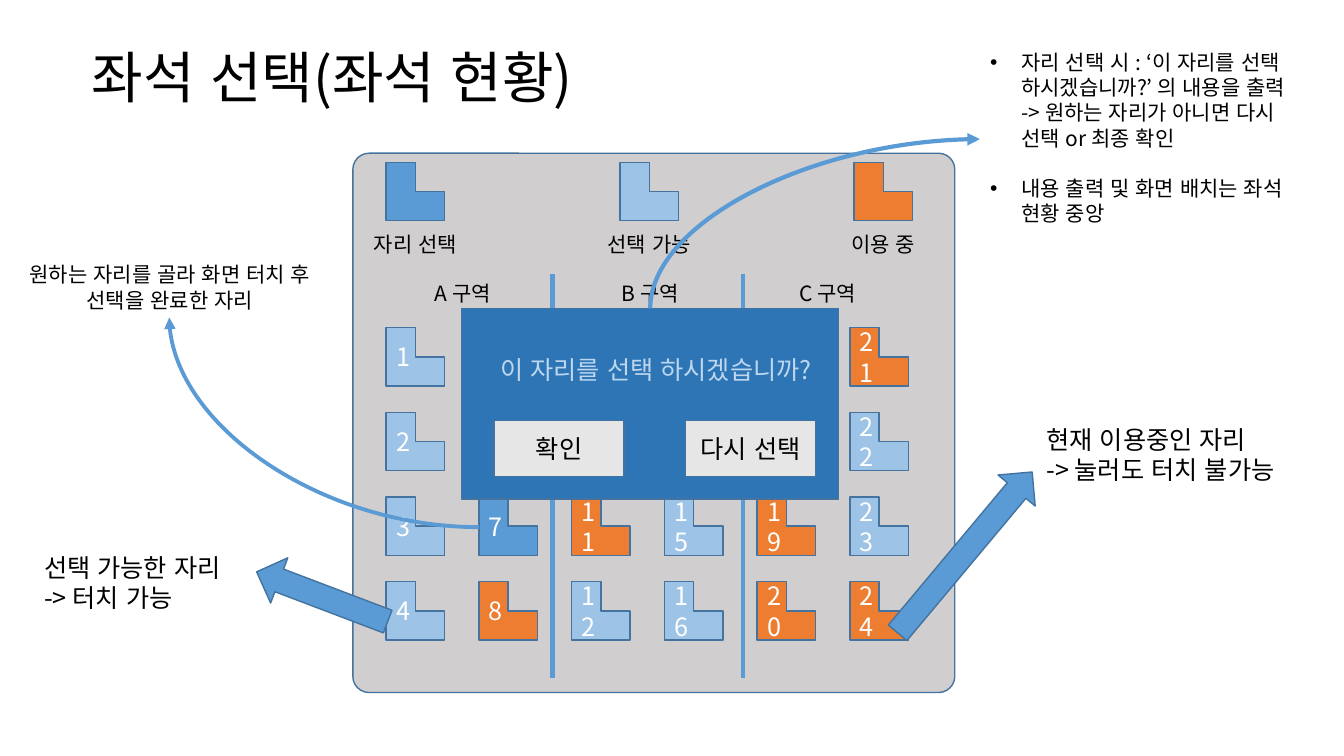
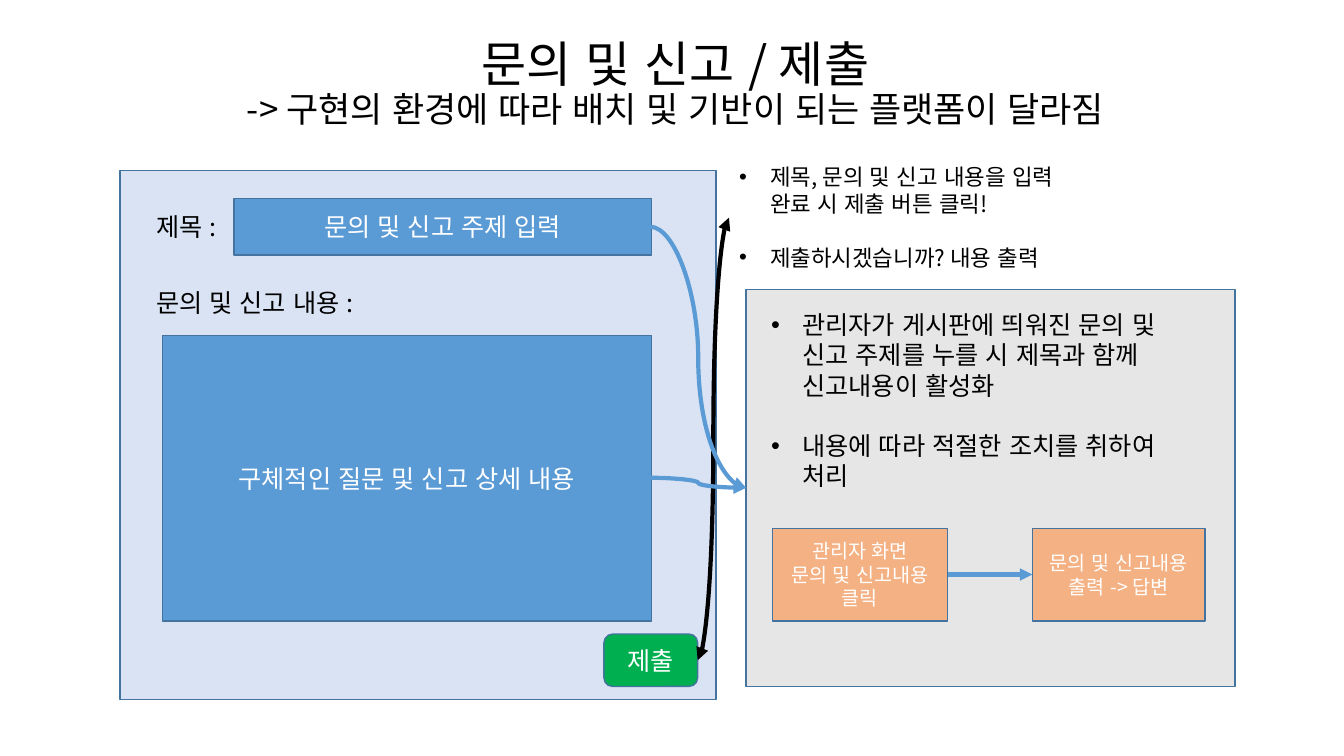
"""Build two screen-design slides: seat selection and report submission."""
from lxml.etree import SubElement
from pptx import Presentation
from pptx.dml.color import RGBColor
from pptx.enum.shapes import MSO_CONNECTOR, MSO_SHAPE
from pptx.enum.text import MSO_ANCHOR, MSO_AUTO_SIZE, PP_ALIGN
from pptx.oxml.ns import qn
from pptx.util import Inches, Pt

FONT = "Noto Sans CJK KR"
BLACK = RGBColor(0x00, 0x00, 0x00)
WHITE = RGBColor(0xFF, 0xFF, 0xFF)
BLUE = RGBColor(0x5B, 0x9B, 0xD5)
LIGHT_BLUE = RGBColor(0x9D, 0xC3, 0xE6)
DARK_BLUE = RGBColor(0x2E, 0x75, 0xB6)
PALE_BLUE = RGBColor(0xBD, 0xD7, 0xEE)
OUTLINE = RGBColor(0x43, 0x73, 0x9E)
ORANGE = RGBColor(0xED, 0x7D, 0x31)
PEACH = RGBColor(0xF4, 0xB1, 0x83)
GREEN = RGBColor(0x00, 0xB0, 0x50)
GREY = RGBColor(0xD0, 0xCE, 0xCE)
LIGHT_GREY = RGBColor(0xE7, 0xE6, 0xE6)
FORM_BLUE = RGBColor(0xDA, 0xE3, 0xF3)

LEFT, CENTER = PP_ALIGN.LEFT, PP_ALIGN.CENTER
TOP, MIDDLE = MSO_ANCHOR.TOP, MSO_ANCHOR.MIDDLE
RECT, ROUND = MSO_SHAPE.RECTANGLE, MSO_SHAPE.ROUNDED_RECTANGLE
SEAT, ARROW = MSO_SHAPE.from_xml("corner"), MSO_SHAPE.LEFT_ARROW

SEAT_TITLE = "좌석 선택(좌석 현황)"
LEGEND = [("자리 선택", BLUE), ("선택 가능", LIGHT_BLUE), ("이용 중", ORANGE)]
ZONES = [("A 구역", 4.07), ("B 구역", 5.93), ("C 구역", 7.69)]
DIVIDERS = [5.48, 7.37]
SEATS = [1, 2, 3, 4, 7, 8, 11, 12, 15, 16, 19, 20, 21, 22, 23, 24]
CHOSEN = {7}
IN_USE = {8, 11, 19, 20, 21, 24}
SEAT_SIZE, SEAT_LEFT, SEAT_TOP = 0.58, 3.83, 3.25
COL_STEP, ROW_STEP, ROWS = 0.92, 0.84, 4
SEAT_RULES = [
    "자리 선택 시 : ‘이 자리를 선택 하시겠습니까?’ 의 내용을 출력 "
    "-> 원하는 자리가 아니면 다시 선택 or 최종 확인",
    "내용 출력 및 화면 배치는 좌석 현황 중앙",
]
SEAT_NOTES = [
    (["선택 가능한 자리", "-> 터치 가능"], (0.34, 5.43, 2.16, 0.71), 18, LEFT),
    (["현재 이용중인 자리", "-> 눌러도 터치 불가능"], (10.28, 4.16, 2.79, 0.71), 18, LEFT),
    (["원하는 자리를 골라 화면 터치 후 선택을 완료한 자리"], (0, 2.55, 3.37, 0.61), 15, CENTER),
]
SEAT_ARROWS = [((2.5, 5.68, 1.39, 0.48), 20.8), ((8.53, 5.24, 2.08, 0.48), 129.9)]
QUESTION = "이 자리를 선택 하시겠습니까?"
BUTTONS = [("확인", 4.9), ("다시 선택", 6.8)]

REPORT_TITLE = "문의 및 신고 / 제출\v-> 구현의 환경에 따라 배치 및 기반이 되는 플랫폼이 달라짐"
FORM_LABELS = [("제목 :", (1.45, 2.05, 0.95, 0.4)), ("문의 및 신고 내용 :", (1.45, 2.8, 2.52, 0.4))]
FORM_PARTS = [
    ("제출", ROUND, (5.99, 6.29, 0.93, 0.52), GREEN),
    ("문의 및 신고 주제 입력", RECT, (2.32, 1.97, 4.14, 0.56), BLUE),
    ("구체적인 질문 및 신고 상세 내용", RECT, (1.61, 3.33, 4.85, 2.83), BLUE),
]
SUBMIT_RULES = ["제목, 문의 및 신고 내용을 입력 완료 시 제출 버튼 클릭!", "제출하시겠습니까? 내용 출력"]
ADMIN_RULES = [
    "관리자가 게시판에 띄워진 문의 및 신고 주제를 누를 시 제목과 함께 신고내용이 활성화",
    "내용에 따라 적절한 조치를 취하여 처리",
]
ADMIN_STEPS = [
    (["관리자 화면", "문의 및 신고내용 클릭"], (7.66, 5.24, 1.74, 0.92)),
    (["문의 및 신고내용 출력 -> 답변"], (10.24, 5.24, 1.71, 0.92)),
]
FORM_LINKS = [((6.45, 2.25), (7.4, 4.84)), ((6.45, 4.74), (7.4, 4.84)), ((9.4, 5.7), (10.24, 5.7))]


def apply(obj, **values):
    """Set each named attribute on an object."""
    for name, value in values.items():
        setattr(obj, name, value)


def place(sp, box):
    """Move and size a shape, in inches."""
    apply(sp, **dict(zip(("left", "top", "width", "height"), map(Inches, box))))


def write(sp, lines, sizes, color=BLACK, align=LEFT, anchor=TOP, bullets=False, spacing=1.0):
    """Fill a text frame; sizes holds one value per run of a line."""
    tf = sp.text_frame
    apply(tf, word_wrap=True, auto_size=MSO_AUTO_SIZE.NONE, vertical_anchor=anchor)
    for i, line in enumerate(lines):
        p = tf.add_paragraph() if i else tf.paragraphs[0]
        gap = Pt(sizes[0] * 1.2) if bullets and i else Pt(0)
        apply(p, text=line, alignment=align, line_spacing=spacing, space_before=gap)
        if bullets:
            pPr = p._p.get_or_add_pPr()
            pPr.set("marL", str(Inches(0.31)))
            pPr.set("indent", str(Inches(-0.31)))
            SubElement(pPr, qn("a:buFont")).set("typeface", "Arial")
            SubElement(pPr, qn("a:buChar")).set("char", "•")
        for r, size in zip(p.runs, sizes):
            apply(r.font, name=FONT, size=Pt(size))
            r.font.color.rgb = color
            rPr = r._r.get_or_add_rPr()
            rPr.set("lang", "ko-KR")
            SubElement(rPr, qn("a:ea")).set("typeface", FONT)


def add_text(shapes, lines, box, size, **style):
    """Add a wrapped text box."""
    sp = shapes.add_textbox(*map(Inches, box))
    write(sp, lines, [size], **style)


def add_part(shapes, kind, box, fill, lines=(), size=18, color=WHITE):
    """Add a filled, outlined shape with centred text."""
    sp = shapes.add_shape(kind, *map(Inches, box))
    sp.shadow.inherit = False
    sp.fill.solid()
    sp.fill.fore_color.rgb = fill
    sp.line.color.rgb = OUTLINE
    sp.line.width = Pt(1)
    write(sp, lines, [size], color, CENTER, MIDDLE)
    return sp


def add_line(shapes, start, end, ends=(), color=BLUE, width=3, preset="curvedConnector3"):
    """Add a connector with triangles at the named ends."""
    kind = MSO_CONNECTOR.STRAIGHT if preset == "line" else MSO_CONNECTOR.CURVE
    c = shapes.add_connector(kind, *map(Inches, start + end))
    c.line.color.rgb = color
    c.line.width = Pt(width)
    spPr = c._element.spPr
    spPr.find(qn("a:prstGeom")).set("prst", preset)
    for name in ends:
        SubElement(spPr.find(qn("a:ln")), qn(f"a:{name}")).set("type", "triangle")
    SubElement(spPr, qn("a:effectLst"))


def add_slide(prs, title, box, sizes, align, rules, rules_box, rules_size):
    """Add a slide with its title and bulleted list."""
    s = prs.slides.add_slide(prs.slide_layouts[1])
    heading, body = s.placeholders
    place(heading, box)
    write(heading, [title], sizes, align=align, anchor=MIDDLE, spacing=0.9)
    place(body, rules_box)
    write(body, rules, [rules_size], bullets=True)
    return s.shapes


def seat_slide(prs):
    """Build the seat map with its confirmation dialog."""
    shapes = add_slide(prs, SEAT_TITLE, (0.81, 0.07, 11.5, 1.45), [40], LEFT,
                       SEAT_RULES, (9.72, 0.44, 3.23, 1.87), 15)
    label = dict(size=15, align=CENTER, anchor=MIDDLE, spacing=0.9)
    room = add_part(shapes, ROUND, (3.5, 1.52, 5.97, 5.35), GREY)
    room.adjustments[0] = 0.03
    for i, (name, fill) in enumerate(LEGEND):
        x = SEAT_LEFT + i * 2.32
        add_part(shapes, SEAT, (x, 1.61, SEAT_SIZE, SEAT_SIZE), fill)
        add_text(shapes, [name], (x - 0.46, 2.23, 1.5, 0.41), **label)
    for number in SEATS:
        col, row = divmod(number - 1, ROWS)
        fill = BLUE if number in CHOSEN else ORANGE if number in IN_USE else LIGHT_BLUE
        box = (SEAT_LEFT + col * COL_STEP, SEAT_TOP + row * ROW_STEP, SEAT_SIZE, SEAT_SIZE)
        add_part(shapes, SEAT, box, fill, [str(number)])
    for name, x in ZONES:
        add_text(shapes, [name], (x, 2.72, 1.04, 0.41), **label)
    for x in DIVIDERS:
        add_line(shapes, (x, 2.72), (x, 6.73), preset="line")
    for box, angle in SEAT_ARROWS:
        add_part(shapes, ARROW, box, BLUE).rotation = angle
    for lines, box, size, align in SEAT_NOTES:
        add_text(shapes, lines, box, size, align=align)
    add_line(shapes, (4.75, 5.23), (1.68, 3.15), ["tailEnd"], width=2.75, preset="curvedConnector2")
    dialog = shapes.add_group_shape().shapes
    add_part(dialog, RECT, (4.58, 3.06, 3.74, 1.89), DARK_BLUE)
    add_text(dialog, [QUESTION], (4.67, 3.47, 3.67, 0.4), 18, color=PALE_BLUE, align=CENTER)
    for name, x in BUTTONS:
        add_part(dialog, RECT, (x, 4.17, 1.29, 0.56), LIGHT_GREY, [name], color=BLACK)
    add_line(dialog, (9.72, 1.38), (6.45, 3.06), ["headEnd"], preset="curvedConnector2")


def report_slide(prs):
    """Build the report form and the administrator's panel."""
    shapes = add_slide(prs, REPORT_TITLE, (0.95, 0.12, 11.5, 1.45), [35, 25], CENTER,
                       SUBMIT_RULES, (7.23, 1.57, 3.64, 1.18), 16)
    add_part(shapes, RECT, (1.19, 1.69, 5.91, 5.25), FORM_BLUE)
    for name, box in FORM_LABELS:
        add_text(shapes, [name], box, 18)
    for name, kind, box, fill in FORM_PARTS:
        add_part(shapes, kind, box, fill, [name])
    add_line(shapes, (6.92, 6.55), (7.23, 2.16), ["headEnd", "tailEnd"], BLACK)
    add_part(shapes, RECT, (7.4, 2.87, 4.85, 3.94), LIGHT_GREY)
    add_text(shapes, ADMIN_RULES, (7.55, 3.02, 4.4, 1.92), 18, bullets=True)
    for lines, box in ADMIN_STEPS:
        add_part(shapes, RECT, box, PEACH, lines, 14)
    for start, end in FORM_LINKS:
        add_line(shapes, start, end, ["tailEnd"])


prs = Presentation()
apply(prs, slide_width=Inches(13.33), slide_height=Inches(7.5))
seat_slide(prs)
report_slide(prs)
prs.save("out.pptx")
